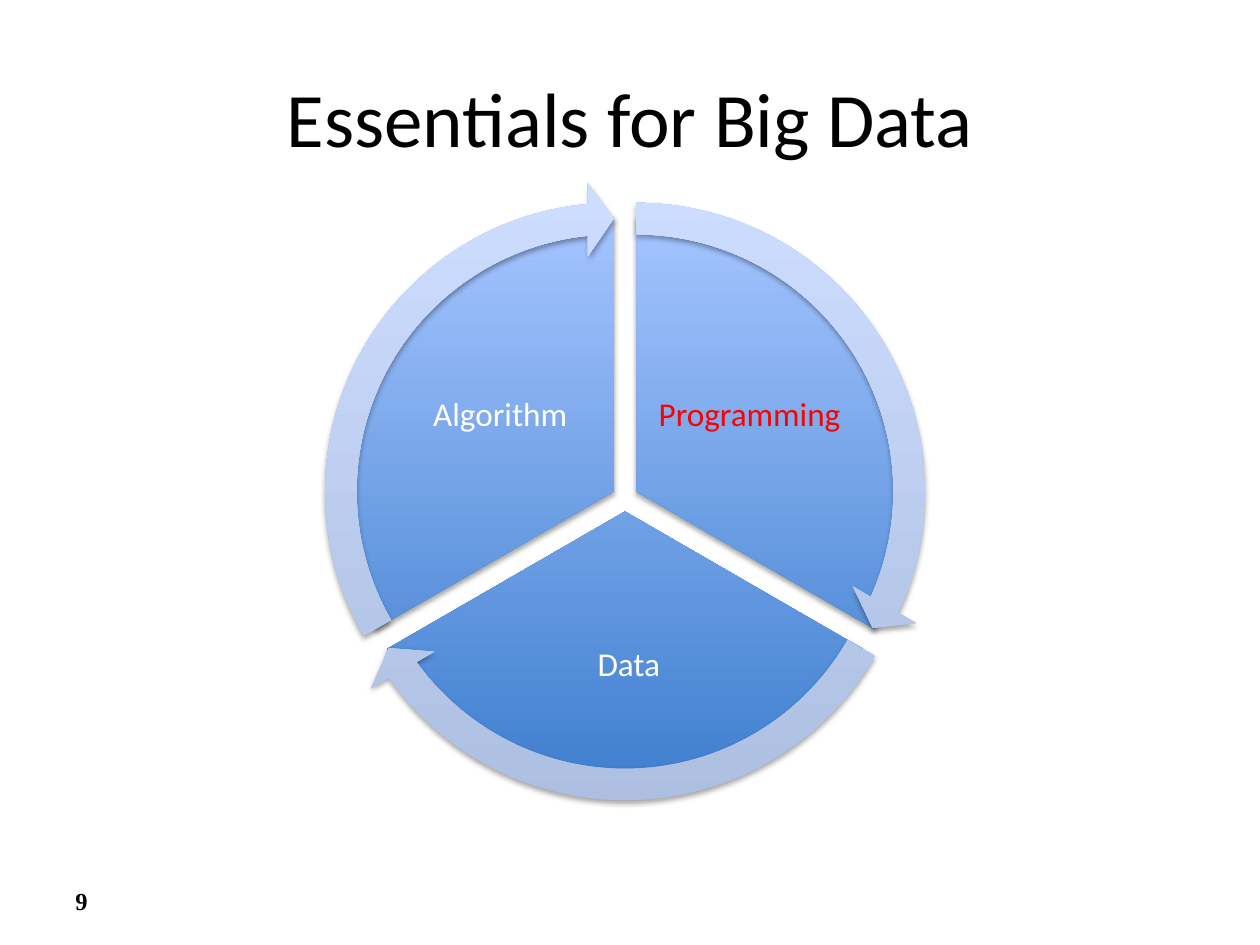
from lxml.etree import SubElement
from pptx import Presentation
from pptx.dml.color import RGBColor as RGB
from pptx.enum.shapes import MSO_SHAPE as Kind
from pptx.enum.text import MSO_ANCHOR as Anchor, PP_ALIGN as Align
from pptx.oxml.ns import qn
from pptx.util import Pt

INK = {
    "black": "000000", "white": "FFFFFF", "red": "FF0000",
    "deep": "3F7FCE", "sky": "A4C4FF", "dusk": "ADBFE1", "pale": "CCDDFF",
}
SHIFT, DROP, RIM = 6.48, 11.52, 19.8
PARTS = [
    ("Programming", "red", 1, 0, (162, 18), (14.725, 161.994), (172, 67, 112.3, 93.6)),
    ("Data", "white", 0, 1, (18, 90), (86.72, 18.005), (74.9, 215.3, 168.5, 82.1)),
    ("Algorithm", "white", -1, 0, (90, 162), (158.73, 90), (29.5, 67, 112.3, 93.6)),
]


def tint(name):
    return RGB.from_string(INK[name])


def write(shapes, box, text, size, ink, face="Calibri", align=Align.CENTER, bold=False, inset=None):
    frame = shapes.add_textbox(*map(Pt, box)).text_frame
    frame.word_wrap = True
    frame.vertical_anchor = Anchor.MIDDLE
    if inset is not None:
        frame.margin_left = frame.margin_right = Pt(inset)
        frame.margin_top = frame.margin_bottom = Pt(inset)
    frame.text = text
    para = frame.paragraphs[0]
    para.alignment = align
    font = para.runs[0].font
    font.name, font.size, font.bold = face, Pt(size), bold
    font.color.rgb = tint(ink)
    return para


def shade(shape):
    shape.shadow.inherit = False
    glow = shape._element.spPr.find(qn("a:effectLst"))
    cast = SubElement(glow, qn("a:outerShdw"), blurRad=str(Pt(3.1)), dist=str(Pt(1.8)),
                      dir="5400000", rotWithShape="0")
    hue = SubElement(cast, qn("a:srgbClr"), val=INK["black"])
    SubElement(hue, qn("a:alpha"), val="35000")


def draw(shapes, kind, box, turns, low, high):
    shape = shapes.add_shape(kind, *map(Pt, box))
    for i, turn in enumerate(turns):
        shape.adjustments[i] = turn
    shape.fill.gradient()
    shape.fill.gradient_angle = 90
    for stop, name in zip(shape.fill.gradient_stops, (low, high)):
        stop.color.rgb = tint(name)
    shape.line.fill.background()
    shade(shape)


def cycle(slide, box):
    left, top, side = box
    shapes = slide.shapes.add_group_shape().shapes
    for text, ink, dx, dy, turns, _, (x, y, w, h) in PARTS:
        draw(shapes, Kind.PIE, (left + dx * SHIFT, top + dy * DROP, side, side),
             turns, "deep", "sky")
        para = write(shapes, (left + x, top + y, w, h), text, 19, ink, inset=2)
        para.line_spacing = 0.9
    wide = side + 2 * RIM
    for _, _, dx, dy, _, (start, end), _ in PARTS:
        draw(shapes, Kind.CIRCULAR_ARROW,
             (left + dx * SHIFT - RIM, top + dy * DROP - RIM, wide, wide),
             (0.051, 3.275, start, end, 0.059), "dusk", "pale")


def main():
    deck = Presentation()
    deck.slide_width, deck.slide_height = Pt(720), Pt(540)
    slide = deck.slides.add_slide(deck.slide_layouts[6])
    write(slide.shapes, (36, 21.6, 648, 90), "Essentials for Big Data", 44, "black")
    cycle(slide, (200.2, 123.9, 313.9))
    write(slide.shapes, (36, 500.4, 168, 28.8), "9", 14, "black",
          "Times New Roman", Align.LEFT, True)
    deck.save("out.pptx")


if __name__ == "__main__":
    main()
